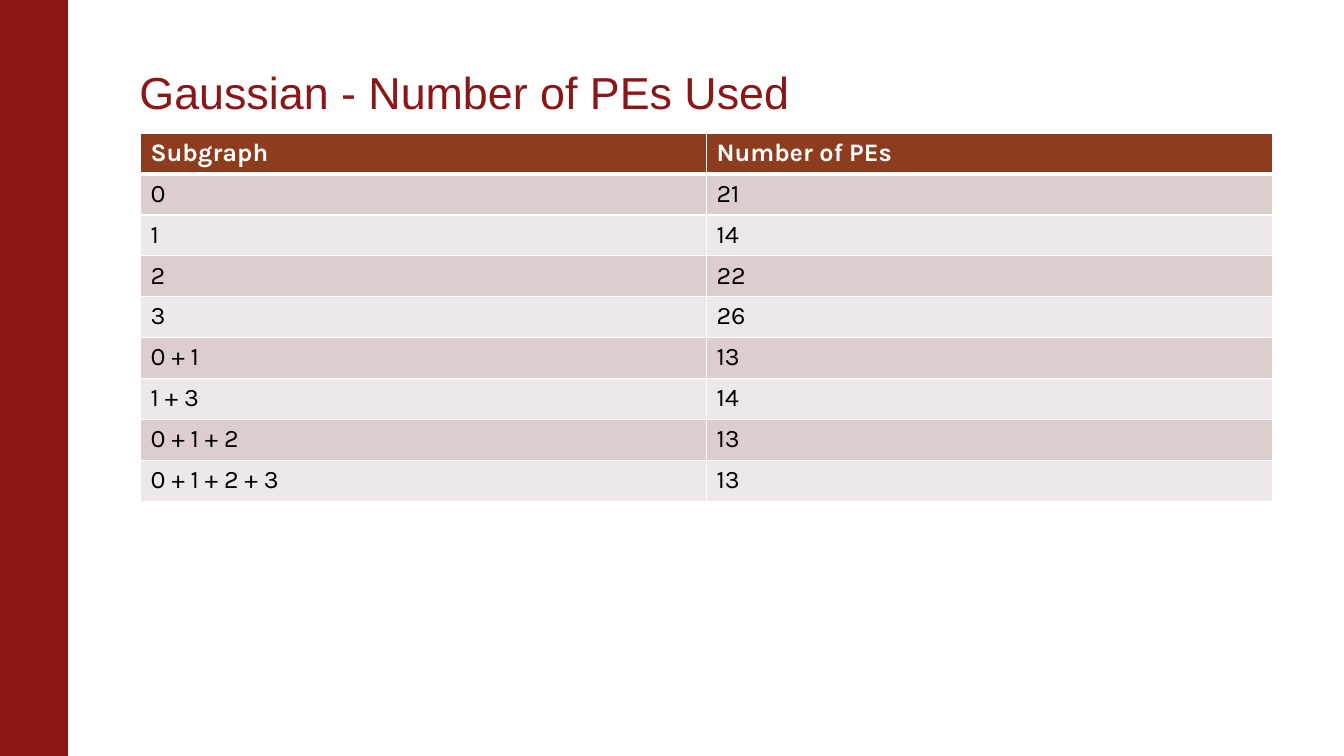
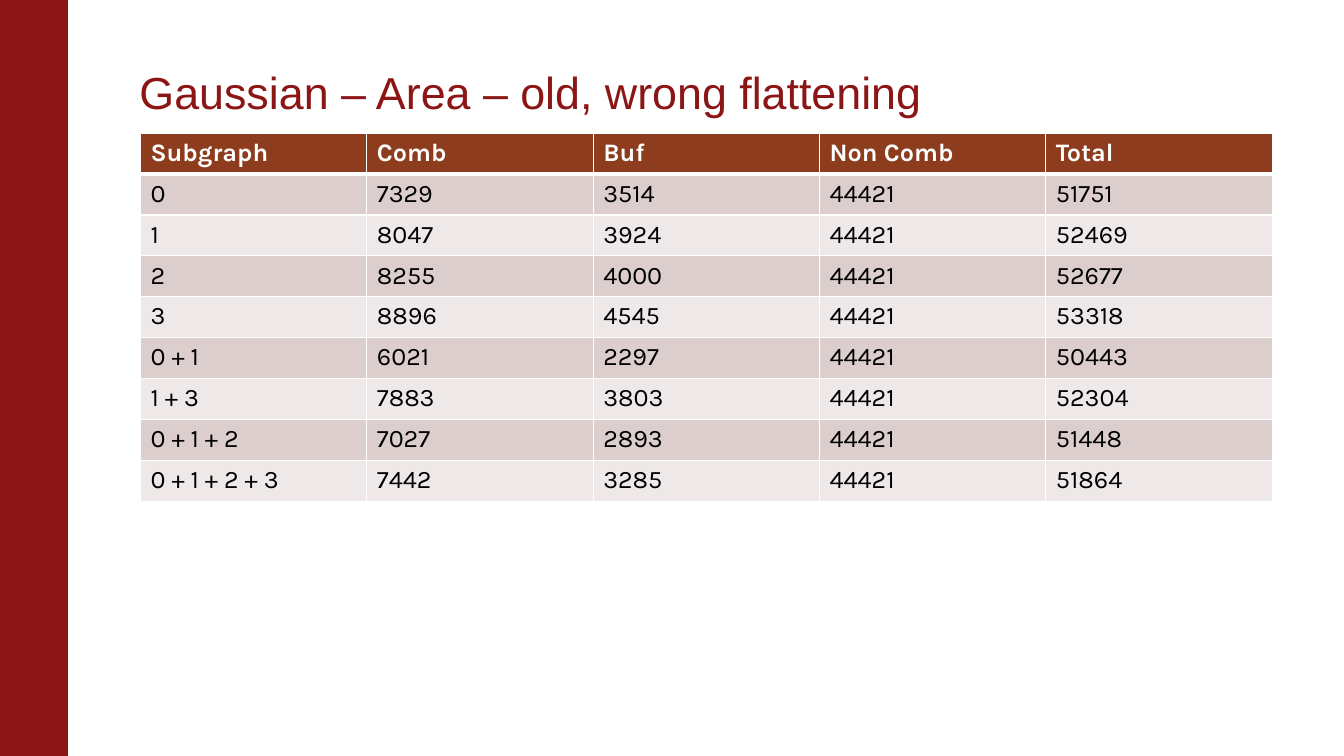
from dataclasses import dataclass

from lxml import etree
from pptx import Presentation
from pptx.dml.color import RGBColor
from pptx.enum.shapes import MSO_SHAPE
from pptx.enum.text import MSO_ANCHOR, PP_ALIGN
from pptx.oxml.ns import qn
from pptx.util import Pt

RECTANGLE = MSO_SHAPE.RECTANGLE
BOTTOM = MSO_ANCHOR.BOTTOM
LEFT = PP_ALIGN.LEFT


@dataclass(frozen=True)
class Theme:
    cardinal: str = "8C1515"
    header: str = "8D3C1E"
    stripes: tuple = ("DBCECD", "EEE8E8")
    white: str = "FFFFFF"
    black: str = "000000"
    title_font: str = "Arial"
    table_font: str = "Karla"
    title_size: float = 32
    table_size: float = 18
    rule: float = 1
    header_rule: float = 3


@dataclass(frozen=True)
class Box:
    left: float
    top: float
    width: float
    height: float

    def emu(self):
        return Pt(self.left), Pt(self.top), Pt(self.width), Pt(self.height)


THEME = Theme()
SLIDE_WIDTH, SLIDE_HEIGHT = 960, 540
ROW_HEIGHT = 29.2
BAND_BOX = Box(0, 0, 48.3, 540.7)
TITLE_BOX = Box(99.6, 37.6, 809, 51)
TABLE_BOX = Box(100.4, 95.2, 808.4, 9 * ROW_HEIGHT)

SUBGRAPHS = ("0", "1", "2", "3", "0 + 1", "1 + 3", "0 + 1 + 2", "0 + 1 + 2 + 3")
NON_COMB_AREA = 44421
PE_COLUMNS = {
    "Subgraph": SUBGRAPHS,
    "Number of PEs": (21, 14, 22, 26, 13, 14, 13, 13),
}
AREA_COLUMNS = {
    "Subgraph": SUBGRAPHS,
    "Comb": (7329, 8047, 8255, 8896, 6021, 7883, 7027, 7442),
    "Buf": (3514, 3924, 4000, 4545, 2297, 3803, 2893, 3285),
    "Non Comb": (NON_COMB_AREA,) * len(SUBGRAPHS),
    "Total": (51751, 52469, 52677, 53318, 50443, 52304, 51448, 51864),
}


def style_text(paragraph, font_name, size, color, bold=False):
    paragraph.alignment = LEFT
    for run in paragraph.runs:
        run.font.name = font_name
        run.font.size = Pt(size)
        run.font.bold = bold
        run.font.color.rgb = RGBColor.from_string(color)


def add_band(slide, box):
    band = slide.shapes.add_shape(RECTANGLE, *box.emu())
    band.shadow.inherit = False
    band.fill.solid()
    band.fill.fore_color.rgb = RGBColor.from_string(THEME.cardinal)
    band.line.color.rgb = RGBColor.from_string(THEME.cardinal)
    band.line.width = Pt(0.75)


def add_title(slide, box, title):
    frame = slide.shapes.add_textbox(*box.emu()).text_frame
    frame.word_wrap = True
    frame.vertical_anchor = BOTTOM
    frame.margin_left = 0
    frame.text = title
    heading = frame.paragraphs[0]
    heading.line_spacing = 0.85
    style_text(heading, THEME.title_font, THEME.title_size, THEME.cardinal)


def set_borders(cell, top, bottom):
    """White rules; the border elements must precede the cell fill."""
    properties = cell._tc.get_or_add_tcPr()
    widths = {"lnL": THEME.rule, "lnR": THEME.rule, "lnT": top, "lnB": bottom}
    for position, (edge, width) in enumerate(widths.items()):
        border = etree.Element(qn(f"a:{edge}"), w=str(Pt(width)))
        fill = etree.SubElement(border, qn("a:solidFill"))
        etree.SubElement(fill, qn("a:srgbClr"), val=THEME.white)
        properties.insert(position, border)


def add_results_table(slide, box, columns):
    rows = [tuple(columns), *zip(*columns.values())]
    table = slide.shapes.add_table(len(rows), len(columns), *box.emu()).table
    for column in table.columns:
        column.width = Pt(box.width / len(columns))
    for row in table.rows:
        row.height = Pt(box.height / len(rows))

    for row_index, values in enumerate(rows):
        is_header = row_index == 0
        background = THEME.header if is_header else THEME.stripes[(row_index - 1) % 2]
        color = THEME.white if is_header else THEME.black
        top = THEME.header_rule if row_index == 1 else THEME.rule
        bottom = THEME.header_rule if is_header else THEME.rule
        for column_index, value in enumerate(values):
            cell = table.cell(row_index, column_index)
            cell.fill.solid()
            cell.fill.fore_color.rgb = RGBColor.from_string(background)
            set_borders(cell, top, bottom)
            cell.text_frame.text = str(value)
            style_text(cell.text_frame.paragraphs[0], THEME.table_font,
                       THEME.table_size, color, bold=is_header)


def add_results_slide(deck, title, columns):
    slide = deck.slides.add_slide(deck.slide_layouts[6])
    add_band(slide, BAND_BOX)
    add_title(slide, TITLE_BOX, title)
    add_results_table(slide, TABLE_BOX, columns)


deck = Presentation()
deck.slide_width, deck.slide_height = Pt(SLIDE_WIDTH), Pt(SLIDE_HEIGHT)
add_results_slide(deck, "Gaussian - Number of PEs Used", PE_COLUMNS)
add_results_slide(deck, "Gaussian – Area – old, wrong flattening", AREA_COLUMNS)
deck.save("out.pptx")
